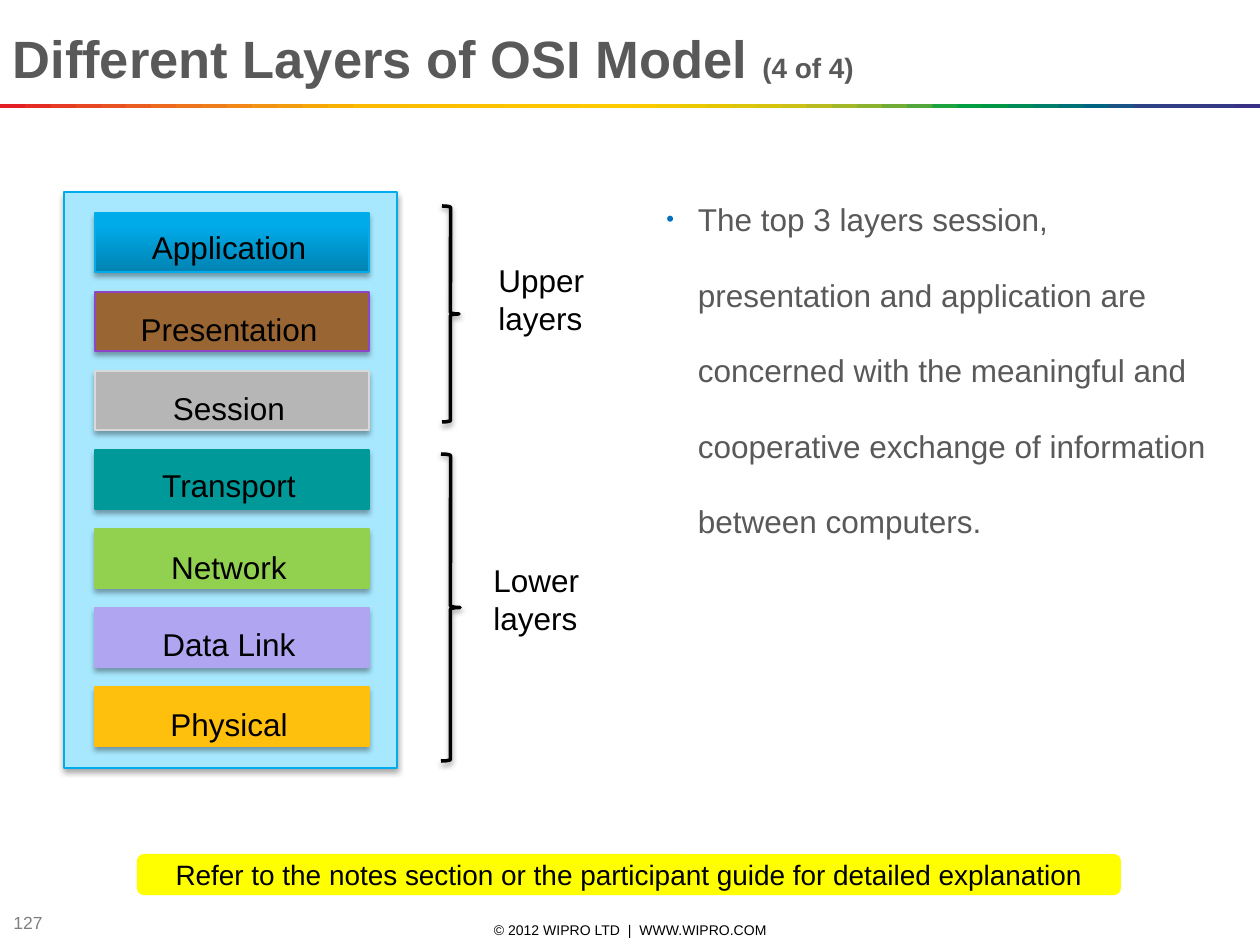
from lxml import etree
from pptx import Presentation
from pptx.dml.color import RGBColor
from pptx.enum.shapes import MSO_SHAPE
from pptx.enum.text import MSO_ANCHOR, PP_ALIGN
from pptx.oxml.ns import qn
from pptx.util import Emu, Pt

RECTANGLE, ROUNDED = MSO_SHAPE.RECTANGLE, MSO_SHAPE.ROUNDED_RECTANGLE
BRACE = MSO_SHAPE.RIGHT_BRACE
TOP, MIDDLE = MSO_ANCHOR.TOP, MSO_ANCHOR.MIDDLE
LEFT, CENTER = PP_ALIGN.LEFT, PP_ALIGN.CENTER
TITLE_ONLY = 5
SLIDE_WIDTH, SLIDE_HEIGHT = 1260, 945
FONT = "Arial"
COLORS = {
    "black": "000000", "heading": "595959", "number": "808080",
    "bullet": "0070C0", "panel": "A7E8FF", "panel_line": "00ACEB",
    "gradient_start": "0083B3", "gradient_end": "00ABE9",
    "note": "FFFF00", "brown": "996633", "purple": "8F45C7",
    "gray": "B6B6B6", "light_gray": "D9D9D9", "teal": "009999",
    "green": "92D050", "lavender": "AFA5F0", "amber": "FFC00D",
}
RAINBOW = """
E31E24 E42C24 E53A24 E74623 E85122 EA5D21 EC691F EE741D EF7E1A F18817
F39314 F49C0F F6A607 F8B002 FBBA00 FBBB00 FBBD00 FCBF00 FCC000 FCC200
FDC400 FDC600 FDC700 FEC900 FECB00 FBCB00 F3CA00 ECC800 E4C602 DCC50A
D5C30E CCC117 B8BC21 A3B829 8CB230 71AD36 51A73B 1DA240 009D43 009846
008C57 008068 007275 00637F 185384 2E4285 313E85 333B85 353885 393185
""".split()
# name, fill (None for the gradient), line, label top
LAYERS = [
    ("Application", None, "panel_line", 222),
    ("Presentation", "brown", "purple", 304),
    ("Session", "gray", "light_gray", 383),
    ("Transport", "teal", "teal", 460),
    ("Network", "green", "green", 542),
    ("Data Link", "lavender", "lavender", 619),
    ("Physical", "amber", "amber", 699),
]
LAYER_TOP, LAYER_PITCH = 213, 79


def px(length):
    """Turn pixels into EMU."""
    return Emu(round(length * 914400 / 126))


def rgb(name):
    """Look up a named colour."""
    return RGBColor.from_string(COLORS[name])


def place(shape, left, top, width, height):
    """Set the position and size of a shape in pixels."""
    frame = {"left": left, "top": top, "width": width, "height": height}
    for name, value in frame.items():
        setattr(shape, name, px(value))


def add_span(para, text, size, color="black", bold=False):
    """Append a formatted run to a paragraph."""
    span = para.add_run()
    span.text = text
    values = {"name": FONT, "size": Pt(size), "bold": bold}
    for name, value in values.items():
        setattr(span.font, name, value)
    span.font.color.rgb = rgb(color)


def write(shape, lines, size, color="black", align=LEFT, anchor=TOP):
    """Fill a shape with one paragraph per line."""
    frame = shape.text_frame
    frame.word_wrap = True
    frame.vertical_anchor = anchor
    for index, line in enumerate(lines):
        para = frame.add_paragraph() if index else frame.paragraphs[0]
        para.alignment = align
        add_span(para, line, size, color)


def add_text(slide, area, lines, size, **style):
    """Add a text box and return it."""
    box = slide.shapes.add_textbox(*map(px, area))
    write(box, lines, size, **style)
    return box


def add_shadow(shape):
    """Add a soft shadow below a shape."""
    effects = shape._element.spPr.find(qn("a:effectLst"))
    shadow = etree.SubElement(
        effects, qn("a:outerShdw"), blurRad=str(Pt(3.1)), dist=str(Pt(1.8)),
        dir="5400000", rotWithShape="0")
    color = etree.SubElement(shadow, qn("a:srgbClr"), val=COLORS["black"])
    etree.SubElement(color, qn("a:alpha"), val="35000")


def add_box(slide, kind, area, fill=None, line=None, weight=0.75):
    """Add a preset shape; one with a line also gets a shadow."""
    shape = slide.shapes.add_shape(kind, *map(px, area))
    shape.shadow.inherit = False
    if fill:
        shape.fill.solid()
        shape.fill.fore_color.rgb = rgb(fill)
    else:
        shape.fill.background()
    if line:
        shape.line.color.rgb = rgb(line)
        shape.line.width = Pt(weight)
        add_shadow(shape)
    else:
        shape.line.fill.background()
    return shape


def add_rainbow(slide):
    """Draw the band of overlapping colour strips under the title."""
    pitch = SLIDE_WIDTH / len(RAINBOW)
    for index, color in enumerate(RAINBOW):
        left = index * pitch
        width = min(2 * pitch, SLIDE_WIDTH - left)
        strip = add_box(slide, RECTANGLE, (left, 104, width, 4), "black")
        strip.fill.fore_color.rgb = RGBColor.from_string(color)


def set_title(slide):
    """Move and format the title placeholder."""
    title = slide.shapes.title
    place(title, 0, 19, SLIDE_WIDTH, 77)
    title.text_frame.vertical_anchor = MIDDLE
    para = title.text_frame.paragraphs[0]
    para.alignment = LEFT
    add_span(para, "Different Layers of OSI Model ", 30, "heading", True)
    add_span(para, "(4 of 4)", 16, "heading", True)


def add_bullet(para):
    """Give a paragraph a hanging bullet."""
    properties = para._p.get_or_add_pPr()
    properties.set("marL", "228600")
    properties.set("indent", "-228600")
    color = etree.SubElement(properties, qn("a:buClr"))
    etree.SubElement(color, qn("a:srgbClr"), val=COLORS["bullet"])
    etree.SubElement(properties, qn("a:buSzPct"), val="70000")
    etree.SubElement(properties, qn("a:buFont"), typeface=FONT)
    etree.SubElement(properties, qn("a:buChar"), char="•")


def add_layers(slide):
    """Draw the panel with its stack of layers and their labels."""
    add_box(slide, RECTANGLE, (64, 192, 333, 576), "panel", "panel_line")
    for index, (name, fill, line, label_top) in enumerate(LAYERS):
        area = (95, LAYER_TOP + index * LAYER_PITCH, 274, 59)
        layer = add_box(slide, RECTANGLE, area, fill, line)
        if fill is None:
            layer.fill.gradient()
            layer.fill.gradient_angle = 90
            stops = ((0, "gradient_start"), (0.8, "gradient_end"))
            for stop, (position, color) in zip(layer.fill.gradient_stops, stops):
                stop.position = position
                stop.color.rgb = rgb(color)
        add_text(slide, (114, label_top, 230, 38), [name], 18, align=CENTER)


def main():
    """Build the slide and save it."""
    deck = Presentation()
    deck.slide_width, deck.slide_height = px(SLIDE_WIDTH), px(SLIDE_HEIGHT)
    slide = deck.slides.add_slide(deck.slide_layouts[TITLE_ONLY])
    add_text(slide, (431, 920, 399, 20), ["© 2012 WIPRO LTD  |  WWW.WIPRO.COM"],
             8, align=CENTER, anchor=MIDDLE)
    add_text(slide, (1, 910, 95, 26), ["127"], 10, color="number", anchor=MIDDLE)
    add_rainbow(slide)
    set_title(slide)
    body = add_text(slide, (654, 156, 586, 633), [
        "The top 3 layers session, presentation and application are concerned "
        "with the meaningful and cooperative exchange of information between "
        "computers."], 18, color="heading")
    para = body.text_frame.paragraphs[0]
    add_bullet(para)
    para.line_spacing = 2.0
    add_layers(slide)
    for area in ((442, 206, 17, 216), (441, 454, 19, 307)):
        add_box(slide, BRACE, area, line="black", weight=2)
    add_text(slide, (486, 255, 118, 89), ["Upper", "layers"], 18)
    add_text(slide, (481, 555, 118, 89), ["Lower", "layers"], 18)
    note = add_box(slide, ROUNDED, (137, 854, 984, 41), "note")
    write(note, ["Refer to the notes section or the participant guide for "
                 "detailed explanation"], 16, align=CENTER, anchor=MIDDLE)
    deck.save("out.pptx")


if __name__ == "__main__":
    main()
